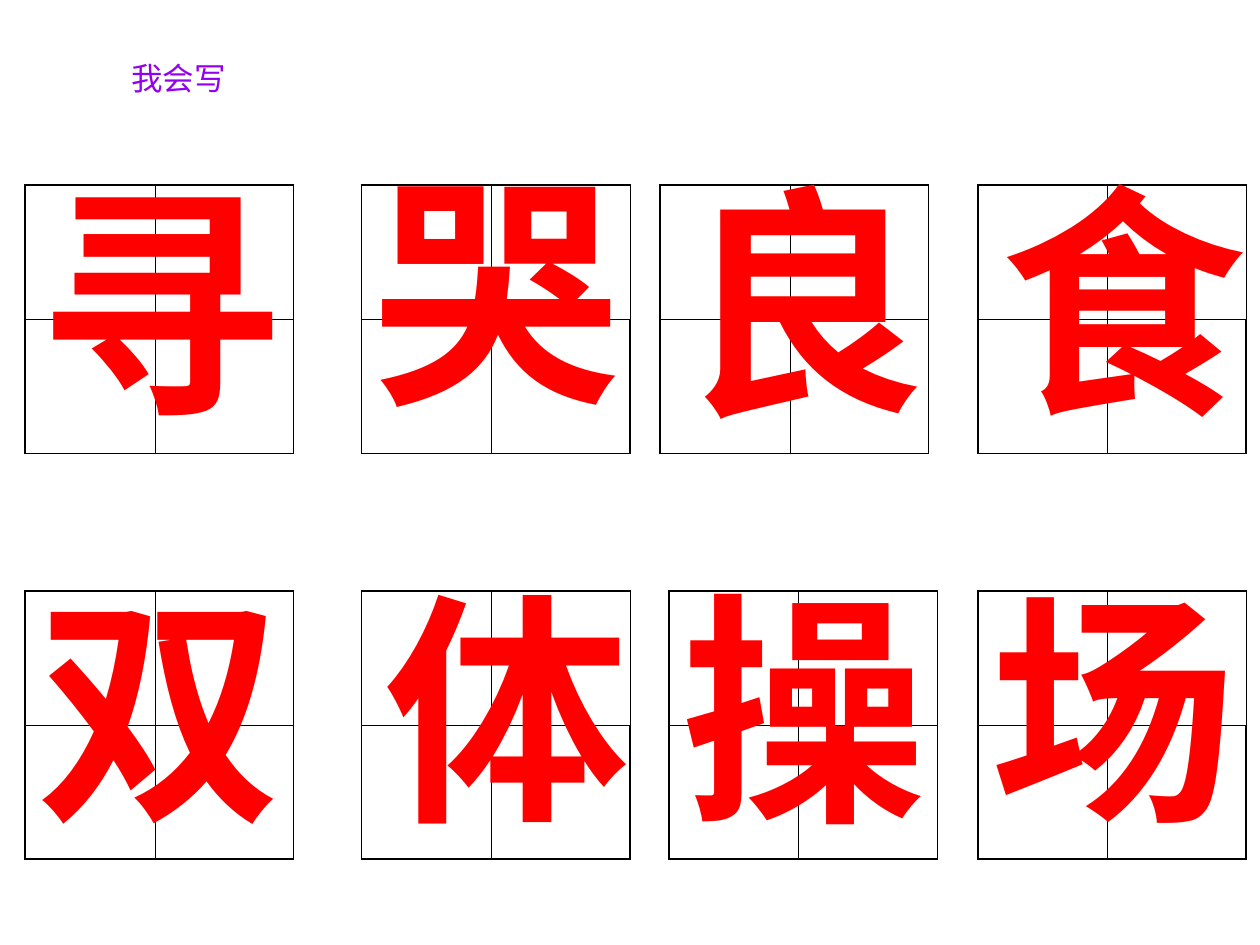
"""Build a writing-practice slide with eight characters in quartered squares."""
from dataclasses import dataclass

import lxml.etree
import pptx
import pptx.dml.color
import pptx.enum.text
import pptx.oxml.ns
import pptx.slide
import pptx.text.text
import pptx.util

FONT = "Noto Sans CJK SC"
COLUMN_LEFTS = (0.2, 2.87, 5.31, 7.76)
ROW_TOPS = (1.47, 4.69)
GLYPH_TOPS = (1.78, 5.01)
SQUARE = 2.13
SQUARE_COLUMNS = (1.03, 1.1)
GLYPH_SIZE = (1.72, 1.74)
THICK, THIN = 1.08, 0.45


@dataclass(frozen=True)
class Practice:
    """A character, its grid place and small shifts in inches."""

    character: str
    column: int
    row: int
    square_shift: float = 0
    glyph_right: float = 0
    glyph_down: float = 0


PRACTICES = (
    Practice("寻", 0, 0),
    Practice("哭", 1, 0, glyph_down=-0.08),
    Practice("良", 2, 0, square_shift=-0.07),
    Practice("食", 3, 0, glyph_right=0.08),
    Practice("双", 0, 1),
    Practice("体", 1, 1, glyph_right=0.08),
    Practice("操", 2, 1),
    Practice("场", 3, 1),
)


def color(value: str) -> pptx.dml.color.RGBColor:
    """Turn a hex string into a colour."""
    return pptx.dml.color.RGBColor.from_string(value)


def add_line(parent, tag: str, position: int, width: float, value: str) -> None:
    """Insert a solid line element into a cell's or a font's properties."""
    qn = pptx.oxml.ns.qn
    line = lxml.etree.Element(qn(tag), w=str(pptx.util.Pt(width)))
    fill = lxml.etree.SubElement(line, qn("a:solidFill"))
    lxml.etree.SubElement(fill, qn("a:srgbClr"), val=value)
    parent.insert(position, line)


def set_typeface(paragraph: pptx.text.text._Paragraph, size: float):
    """Set the font for Latin and East Asian text and return its properties."""
    qn = pptx.oxml.ns.qn
    paragraph.font.size = pptx.util.Pt(size)
    paragraph.font.name = FONT
    properties = paragraph._p.pPr.find(qn("a:defRPr"))
    lxml.etree.SubElement(properties, qn("a:ea"), typeface=FONT)
    return properties


def add_title(slide: pptx.slide.Slide, text: str) -> None:
    """Place the purple heading in the title placeholder."""
    title = slide.shapes.title
    title.left, title.top, title.width, title.height = map(
        pptx.util.Inches, (0.5, 0.42, 1.83, 0.75))
    frame = title.text_frame
    frame.text = text
    frame.word_wrap = False
    frame.auto_size = pptx.enum.text.MSO_AUTO_SIZE.NONE
    frame.vertical_anchor = pptx.enum.text.MSO_ANCHOR.TOP
    paragraph = frame.paragraphs[0]
    paragraph.alignment = pptx.enum.text.PP_ALIGN.CENTER
    fill = paragraph.font.fill
    fill.gradient()
    fill.gradient_angle = 180
    for stop, value in zip(fill.gradient_stops, ("9400ED", "0000FF")):
        stop.color.rgb = color(value)
    properties = set_typeface(paragraph, 18)
    add_line(properties, "a:ln", 0, 1, "EAEAEA")


def add_square(slide: pptx.slide.Slide, left: float, top: float) -> None:
    """Draw a square quartered by thin lines as a two-by-two table."""
    inches = pptx.util.Inches
    table = slide.shapes.add_table(
        2, 2, inches(left), inches(top), inches(SQUARE), inches(SQUARE)).table
    table.first_row = table.horz_banding = False
    for column, width in zip(table.columns, SQUARE_COLUMNS):
        column.width = inches(width)
    for row in range(2):
        table.rows[row].height = inches(SQUARE / 2)
        for column in range(2):
            cell = table.cell(row, column)
            cell.fill.background()
            outer = {"L": column == 0, "R": column == 1 and row == 1,
                     "T": row == 0, "B": row == 1}
            properties = cell._tc.get_or_add_tcPr()
            for position, (side, thick) in enumerate(outer.items()):
                add_line(properties, f"a:ln{side}", position,
                         THICK if thick else THIN, "000000")


def add_glyph(slide: pptx.slide.Slide, character: str, left: float, top: float) -> None:
    """Write one large red character."""
    box = slide.shapes.add_textbox(
        *map(pptx.util.Inches, (left, top, *GLYPH_SIZE)))
    frame = box.text_frame
    frame.text = character
    frame.word_wrap = True
    frame.auto_size = pptx.enum.text.MSO_AUTO_SIZE.SHAPE_TO_FIT_TEXT
    paragraph = frame.paragraphs[0]
    paragraph.line_spacing = 0.7
    paragraph.font.bold = True
    paragraph.font.color.rgb = color("FF0000")
    set_typeface(paragraph, 140)


def main() -> None:
    """Build and save the slide."""
    presentation = pptx.Presentation()
    presentation.slide_width = pptx.util.Inches(10)
    presentation.slide_height = pptx.util.Inches(7.5)
    slide = presentation.slides.add_slide(presentation.slide_layouts[5])
    add_title(slide, "我会写")
    for practice in PRACTICES:
        left = COLUMN_LEFTS[practice.column]
        add_square(slide, left + practice.square_shift, ROW_TOPS[practice.row])
        add_glyph(slide, practice.character, left + practice.glyph_right,
                  GLYPH_TOPS[practice.row] + practice.glyph_down)
    presentation.save("out.pptx")


if __name__ == "__main__":
    main()
